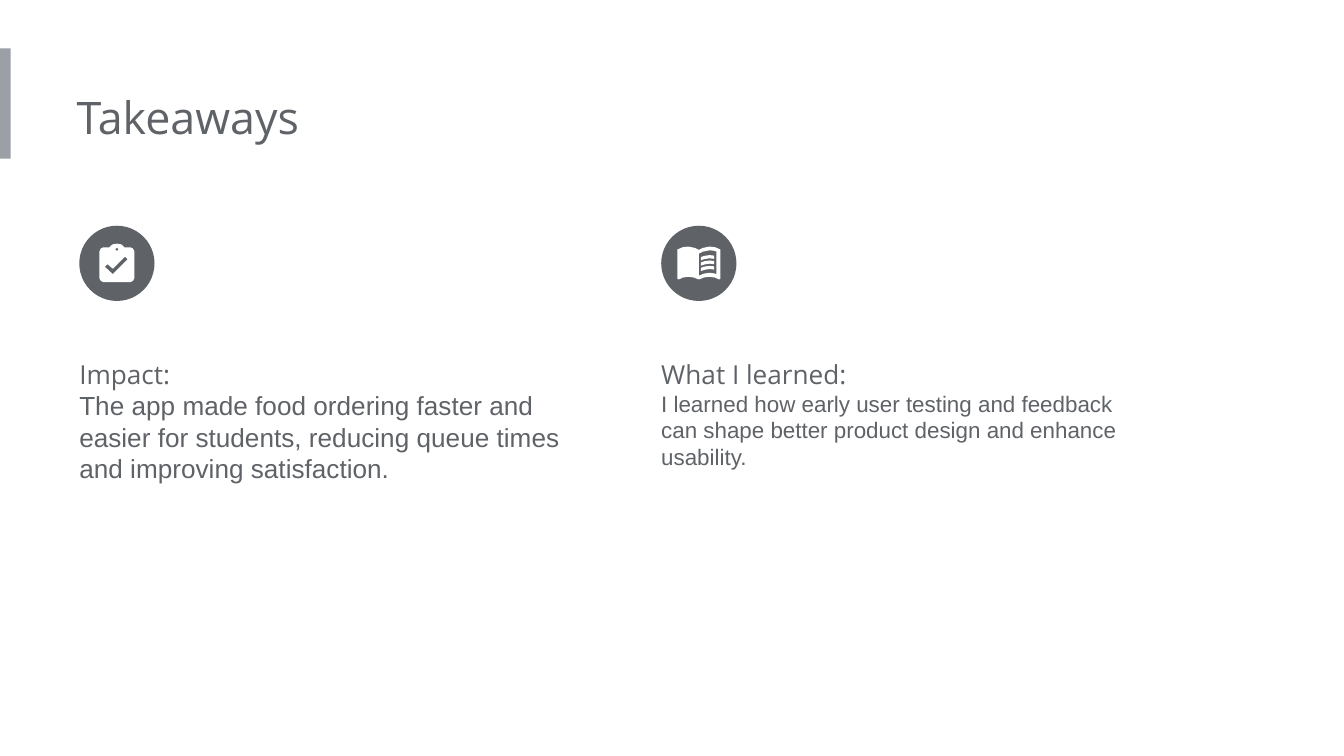
from pptx import Presentation
from pptx.dml.color import RGBColor
from pptx.enum.shapes import MSO_SHAPE
from pptx.util import Inches, Pt

RECT, OVAL = MSO_SHAPE.RECTANGLE, MSO_SHAPE.OVAL
COLORS = {"text": "5F6368", "accent": "9AA0A6", "icon": "FFFFFF"}
HEAD_FONT, BODY_FONT = "Open Sans", "Arial"

# Column grid, in inches
SLIDE_W = 10
SLIDE_H = SLIDE_W * 9 / 16
LEFT, PITCH, COL_W = 0.59, 4.33, 3.77
BADGE_TOP, BADGE, TEXT_TOP = 1.68, 0.56, 2.45

# Icon contours on a grid of 56 units across the badge
GRID, FINE = 56, 10
CLIPBOARD = [
    # Board with clip
    [(18, 16), (22.5, 16), (23.5, 14.8), (25, 13.8), (28, 13.3), (31, 13.8),
     (32.5, 14.8), (33.5, 16), (38, 16), (40, 17), (41, 19), (41, 39),
     (40, 41), (38, 42), (18, 42), (16, 41), (15, 39), (15, 19), (16, 17)],
    # Clip hole
    [(28, 16.3), (29.3, 17.5), (28, 18.8), (26.7, 17.5)],
    # Tick
    [(25, 36), (19, 30.5), (21, 28.5), (25, 32), (34, 23), (36, 25)],
]
BOOK = [
    # Cover
    [(28, 18), (25, 16.5), (20, 15.5), (16, 16), (12, 17.7), (12, 39.5),
     (13, 40), (16, 38.6), (20, 38), (24, 38.5), (28, 40), (32, 38.5),
     (36, 38), (40, 38.6), (43, 40), (44, 39.5), (44, 17.7), (40, 16),
     (36, 15.5), (31, 16.5)],
    # Right page
    [(28, 20.8), (31, 19.3), (36, 18.3), (39, 18.6), (41, 19.2), (41, 36),
     (39, 35.4), (36, 35), (32, 35.6), (28, 37.2)],
]
BAR = [(29.5, 23.3), (32, 22.4), (36, 21.8), (39.3, 22.2), (39.3, 24.6),
       (36, 24.2), (32, 24.8), (29.5, 25.7)]
BOOK_LINES = [[(x, y + 4 * row) for x, y in BAR] for row in range(3)]


def paint(sp, color):
    sp.shadow.inherit = False
    sp.fill.solid()
    sp.fill.fore_color.rgb = RGBColor.from_string(COLORS[color])
    sp.line.fill.background()


def add_block(slide, x, y, w, h, color, kind):
    sp = slide.shapes.add_shape(kind, *map(Inches, (x, y, w, h)))
    paint(sp, color)


def add_icon(slide, x, y, side, contours):
    scaled = [[(px * FINE, py * FINE) for px, py in c] for c in contours]
    builder = slide.shapes.build_freeform(
        *scaled[0][0], scale=Inches(side) / (GRID * FINE))
    for i, contour in enumerate(scaled):
        if i:
            builder.move_to(*contour[0])
        builder.add_line_segments(contour[1:], close=True)
    paint(builder.convert_to_shape(Inches(x), Inches(y)), "icon")


def add_text(slide, x, y, w, h, paragraphs):
    """Each paragraph is (text, font, size, line spacing)."""
    tf = slide.shapes.add_textbox(*map(Inches, (x, y, w, h))).text_frame
    tf.word_wrap = True
    tf.margin_left = 0
    tf.margin_top = tf.margin_right = tf.margin_bottom = Inches(0.1)
    for i, (text, font, size, spacing) in enumerate(paragraphs):
        p = tf.add_paragraph() if i else tf.paragraphs[0]
        p.line_spacing = spacing
        r = p.add_run()
        r.text = text
        r.font.name, r.font.size = font, Pt(size)
        r.font.color.rgb = RGBColor.from_string(COLORS["text"])


def add_header(slide, x, y, w, h, title):
    # Accent bar and title
    add_block(slide, 0, y, 0.08, h, "accent", RECT)
    add_text(slide, x, y + 0.21, w, 0.61, [(title, HEAD_FONT, 24, 1.0)])


def add_takeaway(slide, x, w, h, heading, body, size, icons):
    # Badge with its icon
    add_block(slide, x, BADGE_TOP, BADGE, BADGE, "text", OVAL)
    for contours in icons:
        add_icon(slide, x, BADGE_TOP, BADGE, contours)
    # Heading and body
    add_text(slide, x, TEXT_TOP, w, h, [(heading, HEAD_FONT, 14, 1.5),
                                        (body, BODY_FONT, size, 1.0)])


TAKEAWAYS = [
    (2.09, "Impact:",
     "The app made food ordering faster and easier for students, "
     "reducing queue times and improving satisfaction.", 14, [CLIPBOARD]),
    (1.94, "What I learned:",
     "I learned how early user testing and feedback can shape better "
     "product design and enhance usability.", 12,
     [BOOK] + [[line] for line in BOOK_LINES]),
]


def main():
    prs = Presentation()
    prs.slide_width, prs.slide_height = Inches(SLIDE_W), Inches(SLIDE_H)
    slide = prs.slides.add_slide(prs.slide_layouts[6])
    add_header(slide, 0.57, 0.36, 5.39, 0.82, "Takeaways")
    for col, (h, *content) in enumerate(TAKEAWAYS):
        add_takeaway(slide, LEFT + col * PITCH, COL_W, h, *content)
    prs.save("out.pptx")


if __name__ == "__main__":
    main()
